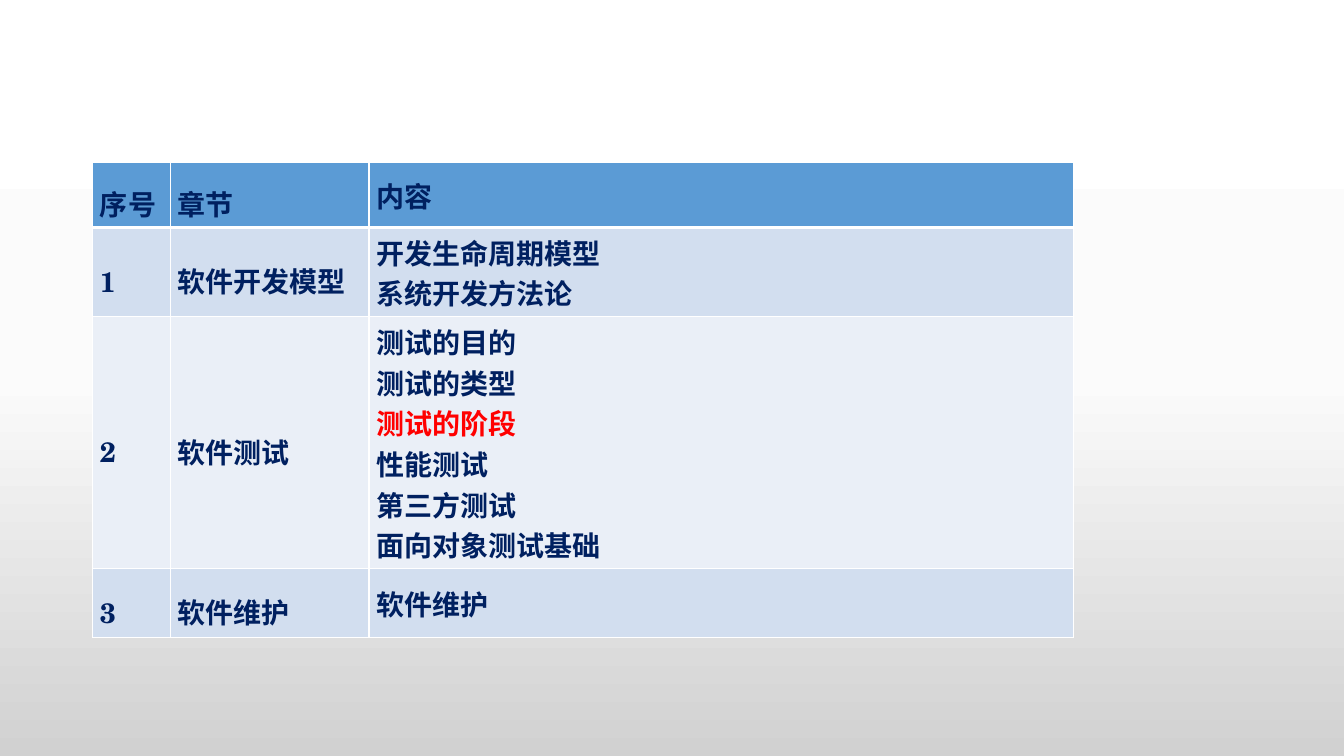
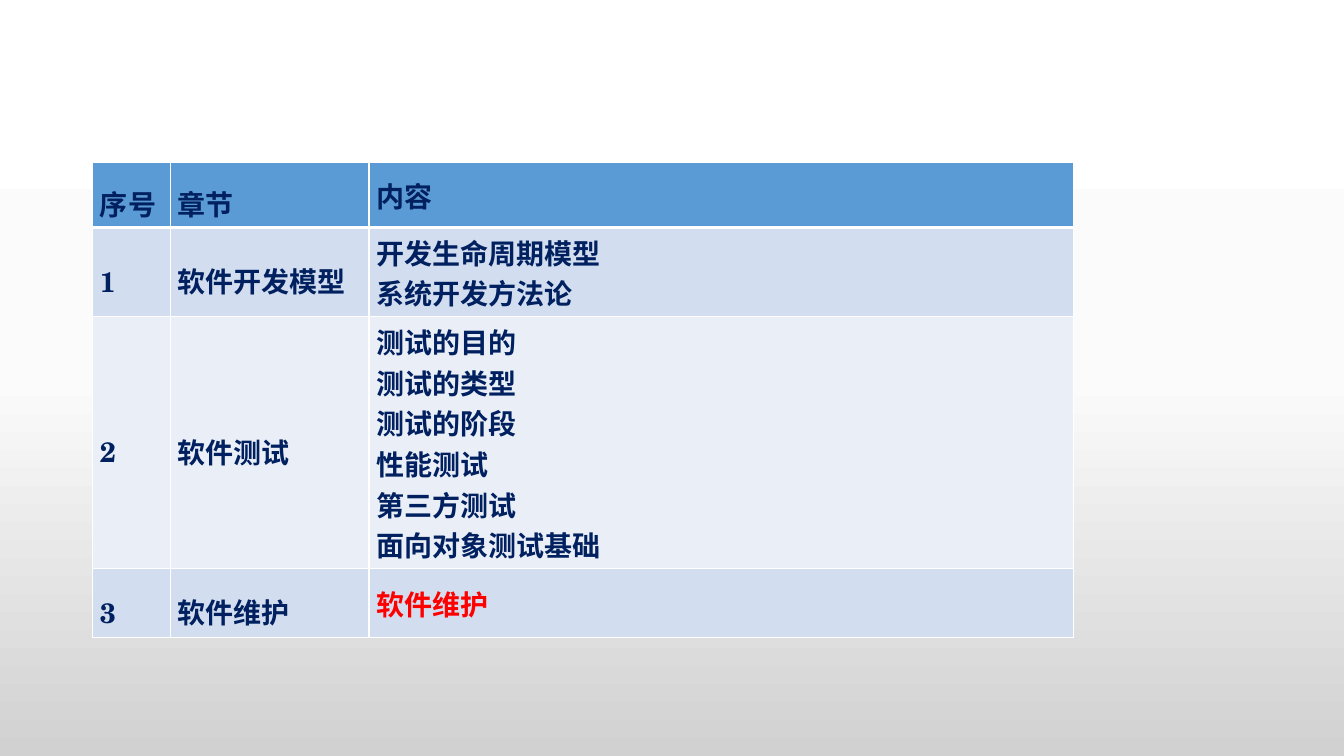
from copy import deepcopy

from pptx import Presentation
from pptx.dml.color import RGBColor
from pptx.enum.text import MSO_ANCHOR
from pptx.oxml import parse_xml
from pptx.oxml.ns import nsdecls
from pptx.util import Cm, Pt

COLORS = {
    "text": "002060",
    "highlight": "FF0000",
    "header": "5B9BD5",
    "odd_row": "D2DEEF",
    "even_row": "EAEFF7",
    "border": "FFFFFF",
}
BACKGROUND = [(0, "FFFFFF"), (0.5, "FBFBFB"), (1, "D1D1D1")]
FONT = {"name": "TeX Gyre Schola", "size": Pt(20), "bold": True}
CELL = {
    "vertical_anchor": MSO_ANCHOR.MIDDLE,
    "margin_left": Cm(0.18),
    "margin_right": Cm(0.18),
    "margin_top": Cm(0.1),
    "margin_bottom": Cm(0.1),
}
COLUMN_WIDTHS = [1.96, 5, 17.75]
ROW_HEIGHTS = [1.61, 2.24, 6.35, 1.7]
ROWS = [
    ("序号", "章节", ["内容"]),
    ("1", "软件开发模型", ["开发生命周期模型", "系统开发方法论"]),
    ("2", "软件测试", ["测试的目的", "测试的类型", "测试的阶段",
                   "性能测试", "第三方测试", "面向对象测试基础"]),
    ("3", "软件维护", ["软件维护"]),
]
HIGHLIGHTS = ["测试的阶段", "软件维护"]


def set_borders(cell, row_number):
    widths = {"L": 1, "R": 1, "T": 3 if row_number == 1 else 1, "B": 3 if row_number == 0 else 1}
    properties = cell._tc.get_or_add_tcPr()
    for side, width in widths.items():
        properties.append(parse_xml(
            f'<a:ln{side} {nsdecls("a")} w="{Pt(width)}"><a:solidFill>'
            f'<a:srgbClr val="{COLORS["border"]}"/></a:solidFill></a:ln{side}>'))


def fill_cell(cell, lines, line_spacing, highlight):
    frame = cell.text_frame
    frame.text = "\n".join(lines)
    for para in frame.paragraphs:
        if line_spacing:
            para.line_spacing = line_spacing
        for span in para.runs:
            for name, value in FONT.items():
                setattr(span.font, name, value)
            color = "highlight" if span.text == highlight else "text"
            span.font.color.rgb = RGBColor.from_string(COLORS[color])


deck = Presentation()
deck.slide_width, deck.slide_height = Cm(33.87), Cm(19.05)

master = deck.slide_master
backdrop = master.background.fill
backdrop.gradient()
backdrop.gradient_angle = 270
stop_list = master.element.xpath(".//p:bg//a:gsLst")[0]
stop_list.append(deepcopy(stop_list[0]))
for stop, (position, color) in zip(backdrop.gradient_stops, BACKGROUND):
    stop.position = position
    stop.color.rgb = RGBColor.from_string(color)

for highlight in HIGHLIGHTS:
    page = deck.slides.add_slide(deck.slide_layouts[6])
    table = page.shapes.add_table(
        len(ROWS), len(COLUMN_WIDTHS), Cm(2.34), Cm(4.1),
        Cm(sum(COLUMN_WIDTHS)), Cm(sum(ROW_HEIGHTS))).table
    for column, width in zip(table.columns, COLUMN_WIDTHS):
        column.width = Cm(width)
    for row_number, (number, chapter, topics) in enumerate(ROWS):
        table.rows[row_number].height = Cm(ROW_HEIGHTS[row_number])
        band = "header" if row_number == 0 else "odd_row" if row_number % 2 else "even_row"
        contents = [([number], 1.4, None), ([chapter], 1.4, None), (topics, None, highlight)]
        for cell, content in zip(table.rows[row_number].cells, contents):
            for name, value in CELL.items():
                setattr(cell, name, value)
            set_borders(cell, row_number)
            cell.fill.solid()
            cell.fill.fore_color.rgb = RGBColor.from_string(COLORS[band])
            fill_cell(cell, *content)

deck.save("out.pptx")
